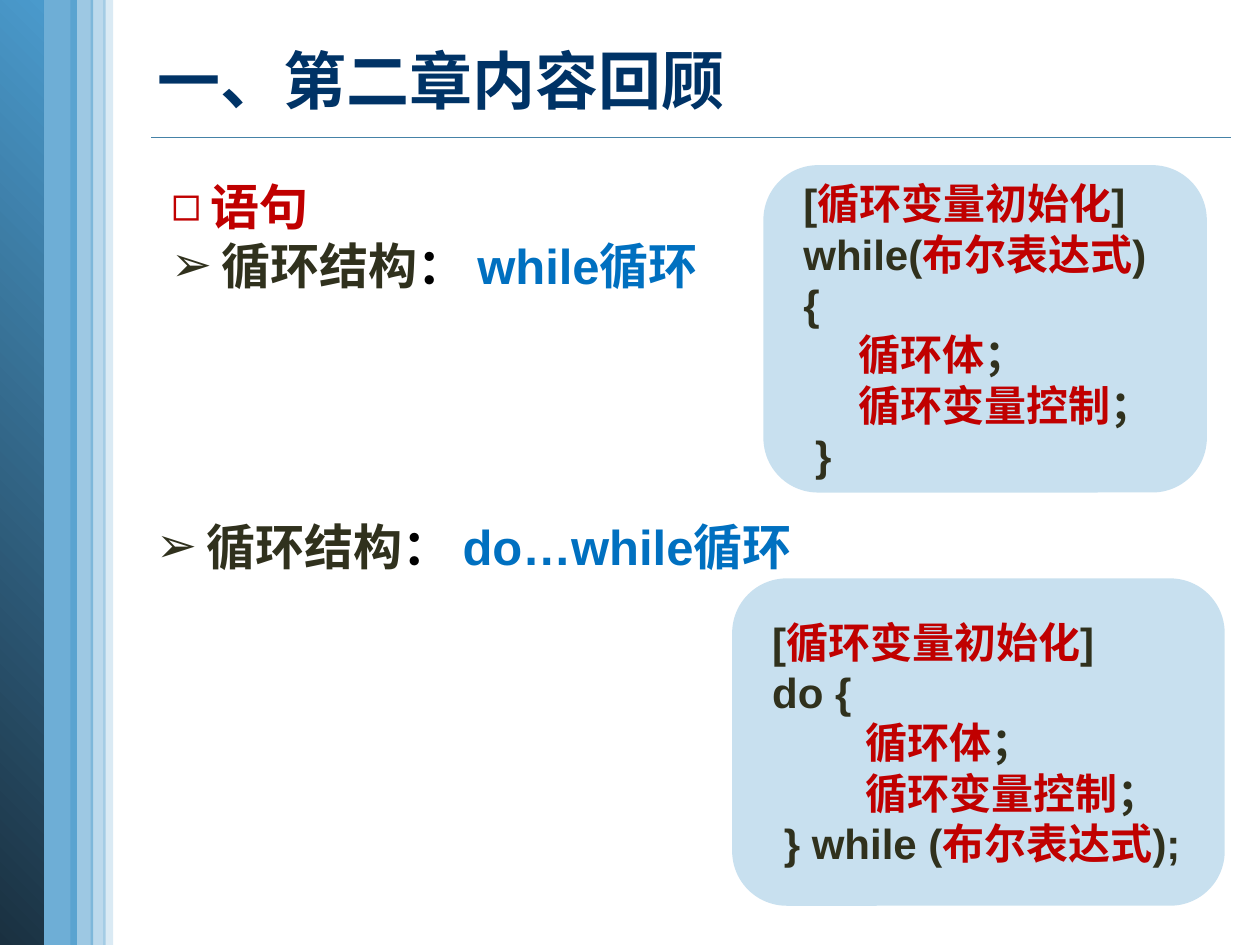
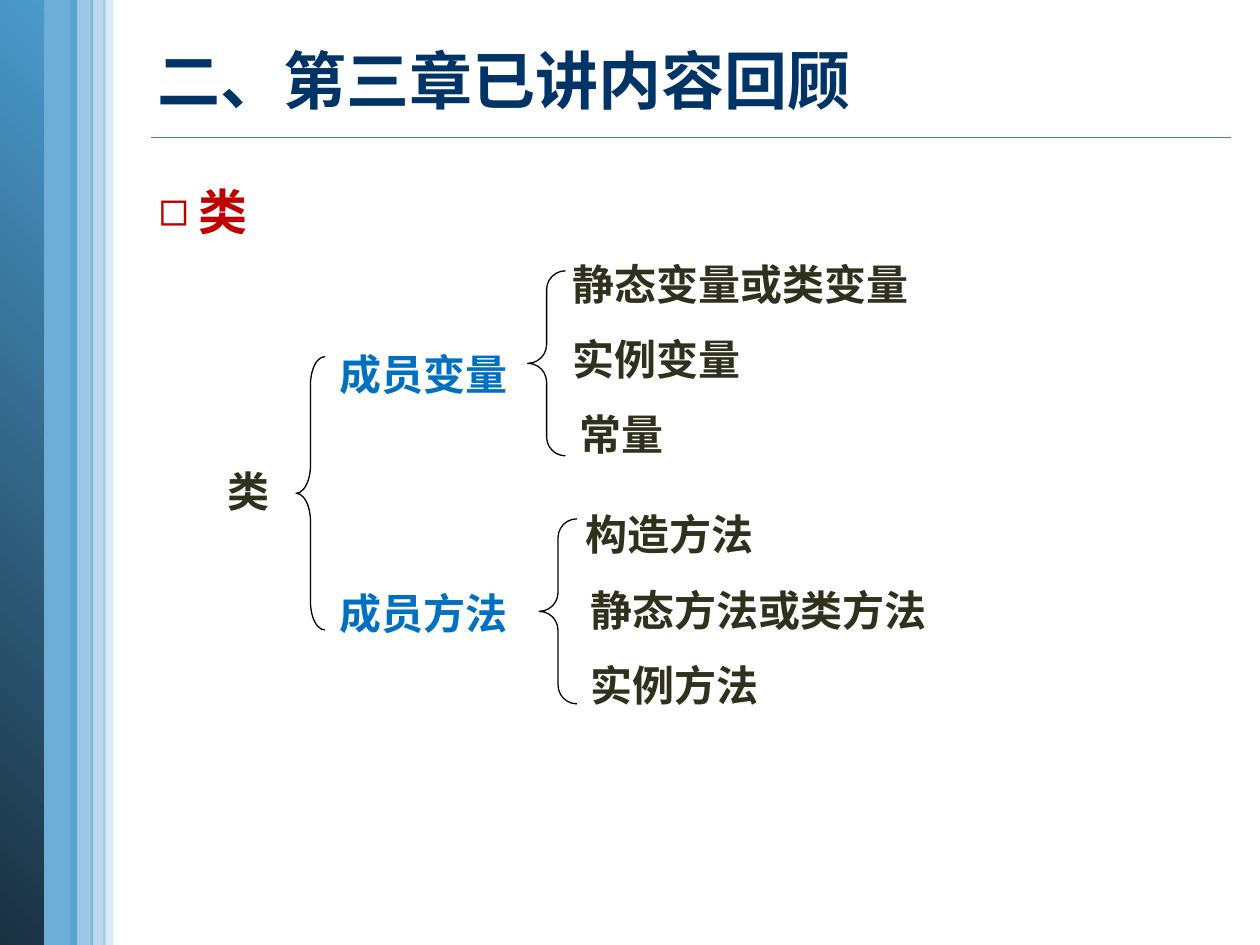
from lxml import etree
from pptx import Presentation
from pptx.dml.color import RGBColor
from pptx.enum.shapes import MSO_CONNECTOR, MSO_SHAPE
from pptx.enum.text import MSO_ANCHOR, PP_ALIGN
from pptx.oxml.ns import qn
from pptx.util import Cm, Pt

RECT, ROUND = MSO_SHAPE.RECTANGLE, MSO_SHAPE.ROUNDED_RECTANGLE
BRACE = MSO_SHAPE.LEFT_BRACE
LINE = MSO_CONNECTOR.STRAIGHT
MIDDLE, TOP, LEFT = MSO_ANCHOR.MIDDLE, MSO_ANCHOR.TOP, PP_ALIGN.LEFT

HUES = {"text": "30311D", "key": "C00000", "term": "0070C0", "black": "000000",
        "title": "003366", "band": "4A9ACC", "deep": "1A3040", "rule": "4582A7"}
SANS, SERIF = "Arial", "Times New Roman"
WIDE, HIGH = 25.4, 19.05

# left, width, opacity in percent (None: gradient)
BANDS = [(0.76, 0.79, 80), (-0.03, 0.91, None), (2.08, 0.2, 20),
         (1.42, 0.46, 54), (1.83, 0.3, 37)]
RULE = (3.05, 24.82, 2.77)
TITLE = (2.92, 0.18, 22.1, 2.82)

# Text lines are lists of (text, hue) runs
INIT = [(" [", "text"), ("循环变量初始化", "key"), ("]", "text")]
TEST = ("布尔表达式", "key")


def body(pad):
    """The two lines inside a loop, set in by pad."""
    return [[(pad, "text"), (word, "key"), ("；", "text")]
            for word in ("循环体", "循环变量控制")]


def loop(name):
    return [("循环结构", "text"), ("：", "black"), (f" {name}循环", "term")]


LOOPS = {
    "title": "一、第二章内容回顾",
    # box, items of (bullet, runs)
    "lists": [
        ((3.2, 3.43, 14.43, 2.64),
         [("◻", [("语句", "key")]), ("➢", loop("while"))]),
        ((2.9, 10.29, 14.43, 1.45), [("➢", loop("do…while"))]),
    ],
    "cards": [
        ((15.39, 3.33, 8.94, 6.6),
         [INIT, [(" while(", "text"), TEST, (")", "text")], [(" {", "text")],
          *body(" " * 7), [("  }", "text")]]),
        ((14.76, 11.66, 9.93, 6.6),
         [INIT, [(" do {", "text")], *body(" " * 11),
          [("  } while (", "text"), TEST, (");", "text")]]),
    ],
}

CLASS = {
    "title": "二、第三章已讲内容回顾",
    "lists": [((2.95, 3.53, 21.51, 1.45), [("◻", [("类", "key")])])],
    "root": ("类", 4.34, 9.25),
    "fork": (5.97, 7.19, 0.58, 5.51, 0.98),
    # name, top, brace, top of first leaf, leaves of (text, left, font)
    "parts": [
        ("成员变量", 6.91, (10.64, 5.46, 0.76, 3.73, 0.5), 5.08,
         [("静态变量或类变量", 11.3, SANS), ("实例变量", 11.3, SANS),
          ("常量", 11.43, SERIF)]),
        ("成员方法", 11.71, (10.87, 10.46, 0.76, 3.73, 0.5), 10.13,
         [("构造方法", 11.56, SANS), ("静态方法或类方法", 11.66, SANS),
          ("实例方法", 11.66, SANS)]),
    ],
}
PART_X, LEAF_GAP, LABEL_H = 6.6, 1.52, 1.22
INDENT = {"◻": 0.8, "➢": 1.02}


def rgb(hue):
    return RGBColor.from_string(HUES[hue])


def write(para, runs, size, font=SANS):
    para.alignment = LEFT
    for text, hue in runs:
        run = para.add_run()
        run.text = text
        run.font.size, run.font.name, run.font.bold = Pt(size), font, True
        run.font.color.rgb = rgb(hue)


def lines(frame, count):
    """Yield count paragraphs, the first being the one already there."""
    for i in range(count):
        yield frame.add_paragraph() if i else frame.paragraphs[0]


def bullet(para, mark):
    props = para._p.get_or_add_pPr()
    room = Cm(INDENT[mark])
    props.set("marL", str(room))
    props.set("indent", str(-room))
    etree.SubElement(props, qn("a:buFont")).set("typeface", SANS)
    etree.SubElement(props, qn("a:buChar")).set("char", mark)


def shape(slide, kind, box):
    item = slide.shapes.add_shape(kind, *map(Cm, box))
    item.shadow.inherit = False
    item.line.fill.background()
    return item


def tint(item, alpha):
    item.fill.solid()
    item.fill.fore_color.rgb = rgb("band")
    color = item.fill._xPr.find(".//" + qn("a:srgbClr"))
    etree.SubElement(color, qn("a:alpha")).set("val", str(alpha * 1000))


def frame(slide, box):
    text = slide.shapes.add_textbox(*map(Cm, box)).text_frame
    text.word_wrap, text.vertical_anchor = True, TOP
    return text


def label(slide, text, left, top, width, hue="text", font=SANS):
    para = frame(slide, (left, top, width, LABEL_H)).paragraphs[0]
    write(para, [(text, hue)], 24, font)


def brace(slide, left, top, width, height, curve):
    item = shape(slide, BRACE, (left, top, width, height))
    item.fill.background()
    item.adjustments[0] = curve
    item.line.color.rgb, item.line.width = rgb("black"), Pt(0.75)


def dress(slide):
    """Draw bands and rule, then move them to the slide's layout."""
    start, end, y = RULE
    rule = slide.shapes.add_connector(LINE, Cm(start), Cm(y), Cm(end), Cm(y))
    rule.line.color.rgb, rule.line.width = rgb("rule"), Pt(1)
    etree.SubElement(rule._element.spPr, qn("a:effectLst"))
    parts = [rule]
    for left, width, alpha in BANDS:
        band = shape(slide, RECT, (left, 0, width, HIGH))
        if alpha:
            tint(band, alpha)
        else:
            band.fill.gradient()
            band.fill.gradient_angle = 45
            for stop, hue in zip(band.fill.gradient_stops, ("deep", "band")):
                stop.color.rgb = rgb(hue)
        parts.append(band)
    tree = slide.slide_layout.shapes.element
    for i, part in enumerate(parts):
        node = part._element
        node.xpath(".//p:cNvPr")[0].set("id", str(20 + i))
        tree.insert(2 + i, node)


def start(deck, data):
    """Add a slide with its title and bulleted lists."""
    slide = deck.slides.add_slide(deck.slide_layouts[5])
    title = slide.shapes.title
    title.left, title.top, title.width, title.height = map(Cm, TITLE)
    title.text_frame.vertical_anchor = MIDDLE
    write(title.text_frame.paragraphs[0], [(data["title"], "title")], 36)
    for box, items in data["lists"]:
        paras = lines(frame(slide, box), len(items))
        for para, (mark, runs) in zip(paras, items):
            bullet(para, mark)
            write(para, runs, 28)
    return slide


def cards(slide, data):
    for box, code in data["cards"]:
        card = shape(slide, ROUND, box)
        tint(card, 30)
        text = card.text_frame
        text.word_wrap, text.vertical_anchor = False, MIDDLE
        for para, runs in zip(lines(text, len(code)), code):
            write(para, runs, 24)


def tree(slide, data):
    label(slide, *data["root"], 1.45, font=SERIF)
    brace(slide, *data["fork"])
    for name, top, fork, first, leaves in data["parts"]:
        label(slide, name, PART_X, top, 5.16, "term")
        brace(slide, *fork)
        for i, (text, left, font) in enumerate(leaves):
            label(slide, text, left, first + i * LEAF_GAP, 9.3, font=font)


def main():
    deck = Presentation()
    deck.slide_width, deck.slide_height = Cm(WIDE), Cm(HIGH)
    slide = start(deck, LOOPS)
    dress(slide)
    cards(slide, LOOPS)
    tree(start(deck, CLASS), CLASS)
    deck.save("out.pptx")


if __name__ == "__main__":
    main()
